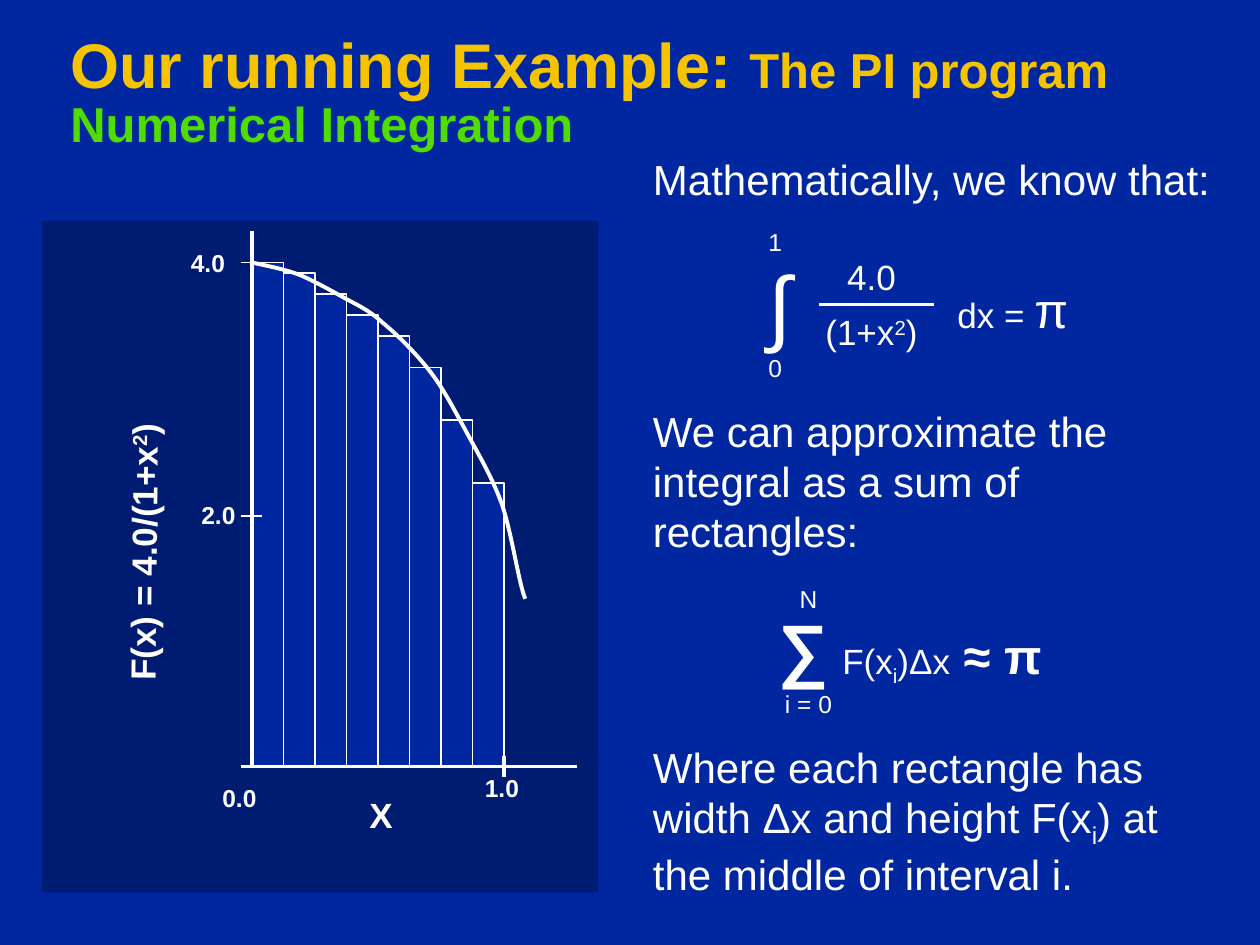
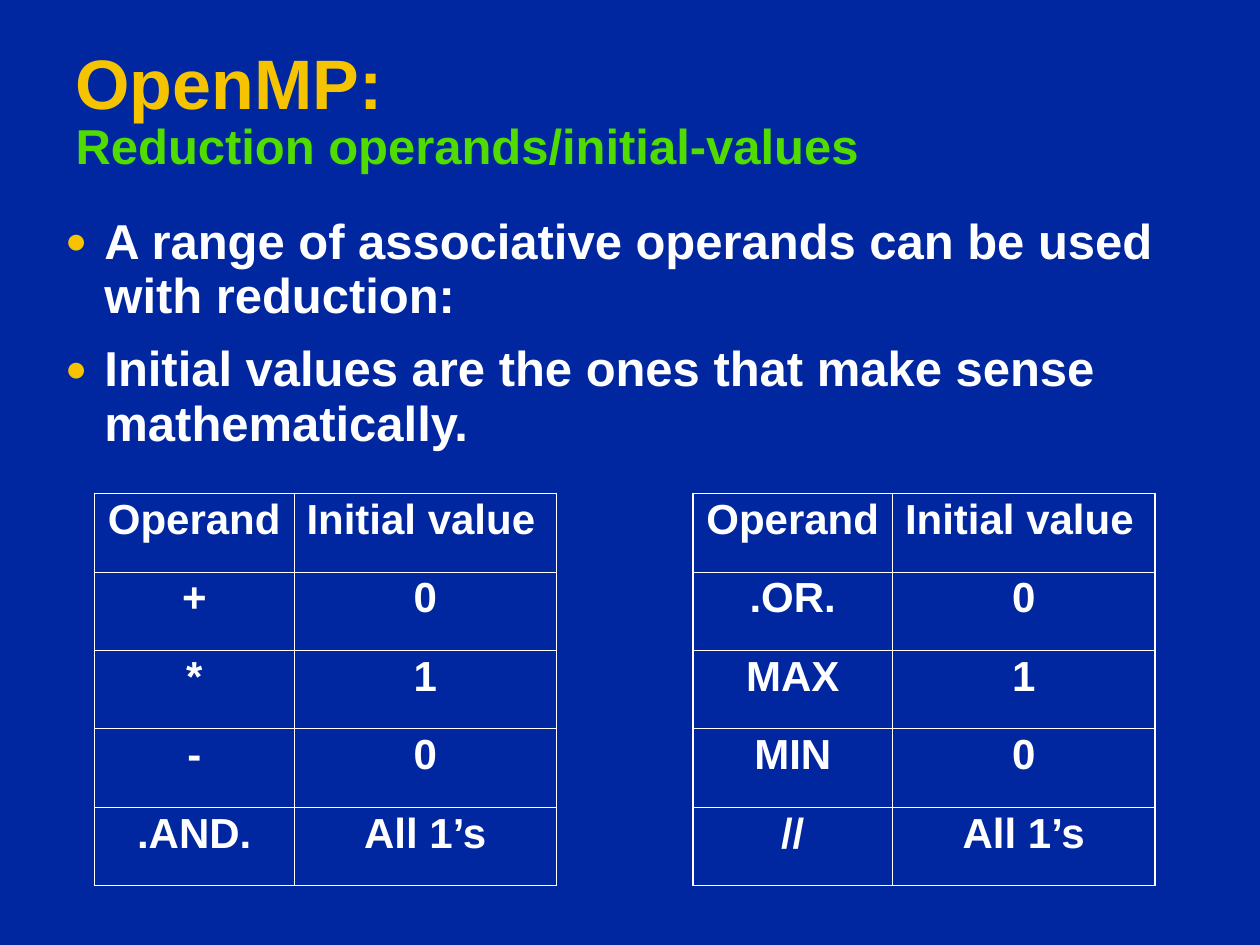
from lxml.etree import SubElement
from pptx import Presentation
from pptx.dml.color import RGBColor
from pptx.enum.shapes import MSO_CONNECTOR, MSO_SHAPE
from pptx.enum.text import MSO_ANCHOR, MSO_AUTO_SIZE, PP_ALIGN
from pptx.oxml.ns import qn
from pptx.util import Pt

COLORS = {
    "background": "00279F",
    "panel": "001B72",
    "title": "F5C300",
    "subtitle": "51DC00",
    "text": "FFFFFF",
}
FONT = "Arial"
TITLE_SIZE = (669, 90)


def color(key):
    return RGBColor.from_string(COLORS[key])


def style(font, size=None, bold=None, key="text"):
    font.name = FONT
    font.size = Pt(size) if size else None
    font.bold = bold
    font.color.rgb = color(key)


def add_run(paragraph, text, size=None, bold=None, baseline=0, key=None):
    run = paragraph.add_run()
    run.text = text
    if size:
        run.font.size = Pt(size)
    if bold is not None:
        run.font.bold = bold
    if key:
        run.font.color.rgb = color(key)
    if baseline:
        run.font._element.set("baseline", str(baseline * 1000))


def place(shape, left, top, width, height):
    shape.left, shape.top = Pt(left), Pt(top)
    shape.width, shape.height = Pt(width), Pt(height)


def add_text(shapes, box, parts, size, bold=False, align=PP_ALIGN.LEFT):
    label = shapes.add_textbox(*map(Pt, box))
    label.text_frame.word_wrap = True
    paragraph = label.text_frame.paragraphs[0]
    paragraph.alignment = align
    style(paragraph.font, size, bold)
    for part in [(parts, {})] if isinstance(parts, str) else parts:
        add_run(paragraph, part[0], **part[1])
    return label


def add_line(shapes, start, end, width):
    line = shapes.add_connector(MSO_CONNECTOR.STRAIGHT, *map(Pt, start + end))
    line.line.color.rgb = color("text")
    line.line.width = Pt(width)
    SubElement(line._element.spPr, qn("a:effectLst"))


def add_rectangle(shapes, box, fill, outline=None):
    rectangle = shapes.add_shape(MSO_SHAPE.RECTANGLE, *map(Pt, box))
    rectangle.shadow.inherit = False
    rectangle.fill.solid()
    rectangle.fill.fore_color.rgb = color(fill)
    if outline:
        rectangle.line.color.rgb = color("text")
        rectangle.line.width = Pt(outline)
    else:
        rectangle.line.fill.background()


def fill_title(slide, left, top, heading, subtitle):
    title = slide.shapes.title
    place(title, left, top, *TITLE_SIZE)
    frame = title.text_frame
    frame.auto_size = MSO_AUTO_SIZE.NONE
    frame.vertical_anchor = MSO_ANCHOR.MIDDLE
    paragraph = frame.paragraphs[0]
    paragraph.alignment = PP_ALIGN.LEFT
    paragraph.line_spacing = 0.87
    style(paragraph.font, 28, True, "title")
    for text, size in heading:
        add_run(paragraph, text, size)
    paragraph.add_line_break()
    add_run(paragraph, subtitle, key="subtitle")


def add_curve(shapes, left, top, points):
    (start_x, start_y), *rest = [(Pt(left + x), Pt(top + y)) for x, y in points]
    builder = shapes.build_freeform(start_x, start_y)
    builder.add_line_segments(rest, close=False)
    curve = builder.convert_to_shape()
    curve.shadow.inherit = False
    curve.fill.background()
    curve.line.color.rgb = color("text")
    curve.line.width = Pt(2.25)
    outline = curve._element.find(".//" + qn("a:path"))
    segments = outline.findall(qn("a:lnTo"))
    for first in range(0, len(segments), 3):
        bezier = SubElement(outline, qn("a:cubicBezTo"))
        for segment in segments[first:first + 3]:
            bezier.append(segment[0])
            outline.remove(segment)


def add_graph(slide, left, top, width, height):
    shapes = slide.shapes.add_group_shape().shapes
    add_rectangle(shapes, (left, top, width, height), "panel")

    axis_x, axis_y = left + 120, top + 312
    bar_width = 18
    bar_tops = [24, 30, 42, 54, 66, 84, 114, 150]
    for index, bar_top in enumerate(bar_tops):
        bar = (axis_x + index * bar_width, top + bar_top, bar_width, 312 - bar_top)
        add_rectangle(shapes, bar, "background", 1)

    add_line(shapes, (axis_x, top + 6), (axis_x, axis_y), 2.25)
    for tick_y in (top + 24, top + 169):
        add_line(shapes, (axis_x - 6, tick_y), (axis_x + 6, tick_y), 1)
    add_line(shapes, (left + 306, axis_y), (axis_x - 6, axis_y), 2.25)
    unit_x = axis_x + len(bar_tops) * bar_width
    add_line(shapes, (unit_x, axis_y - 6), (unit_x, axis_y + 6), 2.25)

    add_curve(shapes, axis_x, top + 24, [
        (0, 0),
        (9.4, 2.2), (18, 3.6), (27.4, 7.2),
        (36, 10.8), (46.1, 16.6), (54, 20.9),
        (61.9, 25.2), (67, 27.4), (74.9, 34.6),
        (82.8, 41), (93.6, 51.8), (101.5, 61.9),
        (109.4, 72), (115.2, 83.5), (122.4, 96.5),
        (128.9, 108.7), (136.8, 121.7), (142.6, 137.5),
        (148.3, 153.4), (152.6, 184.3), (156.2, 192.2),
    ])

    function_label = add_text(
        shapes, (left - 26, top + 170, 168, 32),
        [("F(x) = 4.0/(1+x", {}), ("2", {"baseline": 30}), (")", {})], 20, True)
    function_label.rotation = 270.5
    for text, x, y, size in [
        ("4.0", 78, 12, 14),
        ("2.0", 84, 156, 14),
        ("1.0", 246, 312, 14),
        ("X", 180, 324, 20),
        ("0.0", 96, 318, 14),
    ]:
        add_text(shapes, (left + x, top + y, 36, size + 10), text, size, True)


def add_integral(slide, left, top):
    shapes = slide.shapes.add_group_shape().shapes
    add_text(shapes, (left, top + 15, 30, 113), "∫", 48)
    add_text(shapes, (left + 21, top + 16.5, 90, 32), "4.0", 20, align=PP_ALIGN.CENTER)
    add_text(shapes, (left + 15, top + 48, 102, 32),
             [("(1+x", {}), ("2", {"baseline": 30}), (")", {})],
             20, align=PP_ALIGN.CENTER)
    add_line(shapes, (left + 36, top + 48), (left + 102, top + 48), 1.5)
    add_text(shapes, (left + 108, top + 30, 126, 41),
             [("dx = ", {"size": 20}), ("π", {"size": 28})], None)
    for limit, y in (("0", 72), ("1", 0)):
        add_text(shapes, (left, top + y, 24, 24), limit, 14)


def add_sum(slide, left, top):
    shapes = slide.shapes.add_group_shape().shapes
    add_text(shapes, (left, top + 12, 258, 55), [
        ("∑", {"size": 40, "bold": True}),
        (" ", {"size": 28, "bold": True}),
        ("F(x", {"size": 20}),
        ("i", {"size": 20, "baseline": -25}),
        (")Δx", {"size": 20}),
        (" ≈ π", {"size": 28, "bold": True}),
    ], None)
    for limit, y in (("i = 0", 60), ("N", 0)):
        add_text(shapes, (left, top + y, 48, 24), limit, 14, align=PP_ALIGN.CENTER)


def add_explanation(slide, left, top):
    for y, height, parts in [
        (0, 36, "Mathematically, we know that:"),
        (144, 94, "We can approximate the integral as a sum of rectangles:"),
        (336, 98, [
            ("Where each rectangle has width Δx and height F(x", {}),
            ("i", {"baseline": -25}),
            (") at the middle of interval i.", {}),
        ]),
    ]:
        add_text(slide.shapes, (left, top + y, 336, height), parts, 24)
    add_integral(slide, left + 66, top + 42)
    add_sum(slide, left + 72, top + 246)


def fill_bullets(slide, left, top, width, height, items):
    body = slide.placeholders[1]
    place(body, left, top, width, height)
    frame = body.text_frame
    frame.auto_size = MSO_AUTO_SIZE.NONE
    for index, item in enumerate(items):
        paragraph = frame.add_paragraph() if index else frame.paragraphs[0]
        paragraph.text = item
        paragraph.line_spacing = 0.93
        paragraph.space_before = Pt(10.5 if index else 0)
        properties = paragraph._p.get_or_add_pPr()
        properties.set("marL", str(Pt(22.5)))
        properties.set("indent", str(-Pt(22.5)))
        bullet_color = SubElement(properties, qn("a:buClr"))
        SubElement(bullet_color, qn("a:srgbClr"), val=COLORS["title"])
        SubElement(properties, qn("a:buSzPct"), val="75000")
        SubElement(properties, qn("a:buFont"), typeface=FONT)
        SubElement(properties, qn("a:buChar"), char="●")
        style(paragraph.font, 28, True)


def add_borders(cell, outer_sides):
    properties = cell._tc.get_or_add_tcPr()
    for side in "LRTB":
        width = 1.08 if side in outer_sides else 0.45
        border = SubElement(properties, qn("a:ln" + side), w=str(Pt(width)))
        fill = SubElement(border, qn("a:solidFill"))
        SubElement(fill, qn("a:srgbClr"), val=COLORS["text"])


def add_operand_table(slide, left, top, operands):
    rows = [("Operand", "Initial value"), *operands]
    column_widths = (114, 150)
    table = slide.shapes.add_table(
        len(rows), 2, Pt(left), Pt(top), Pt(sum(column_widths)), Pt(44.8 * len(rows))).table
    table.first_row = table.horz_banding = False
    for column, width in zip(table.columns, column_widths):
        column.width = Pt(width)
    for r, row in enumerate(rows):
        for c, text in enumerate(row):
            cell = table.cell(r, c)
            cell.text = text
            paragraph = cell.text_frame.paragraphs[0]
            paragraph.alignment = PP_ALIGN.LEFT if (r, c) == (0, 1) else PP_ALIGN.CENTER
            paragraph.line_spacing = 0.93
            style(paragraph.font, 24, True)
            outer_sides = "LR"[c] + ("T" if r == 0 else "B" if r == len(rows) - 1 else "")
            add_borders(cell, outer_sides)
            cell.fill.background()


def build_integration_slide(prs):
    slide = prs.slides.add_slide(prs.slide_layouts[5])
    fill_title(slide, 33, 9, [("Our running Example: ", 36), ("The PI program", None)],
               "Numerical Integration")
    add_explanation(slide, 366, 84)
    add_graph(slide, 24, 126, 318, 384)


def build_reduction_slide(prs):
    slide = prs.slides.add_slide(prs.slide_layouts[1])
    fill_title(slide, 36, 19.5, [("OpenMP:", 40)], "Reduction operands/initial-values")
    fill_bullets(slide, 30, 119.5, 670, 150, [
        "A range of associative operands can be used with reduction:",
        "Initial values are the ones that make sense mathematically.",
    ])
    initial_values = ("0", "1", "0", "All 1’s")
    for left, operands in (
        (54, ("+", "*", "-", ".AND.")),
        (396, (".OR.", "MAX", "MIN", "//")),
    ):
        add_operand_table(slide, left, 282, zip(operands, initial_values))


def main():
    prs = Presentation()
    prs.slide_width, prs.slide_height = Pt(720), Pt(540)
    background = prs.slide_master.background.fill
    background.solid()
    background.fore_color.rgb = color("background")
    build_integration_slide(prs)
    build_reduction_slide(prs)
    prs.save("out.pptx")


if __name__ == "__main__":
    main()
